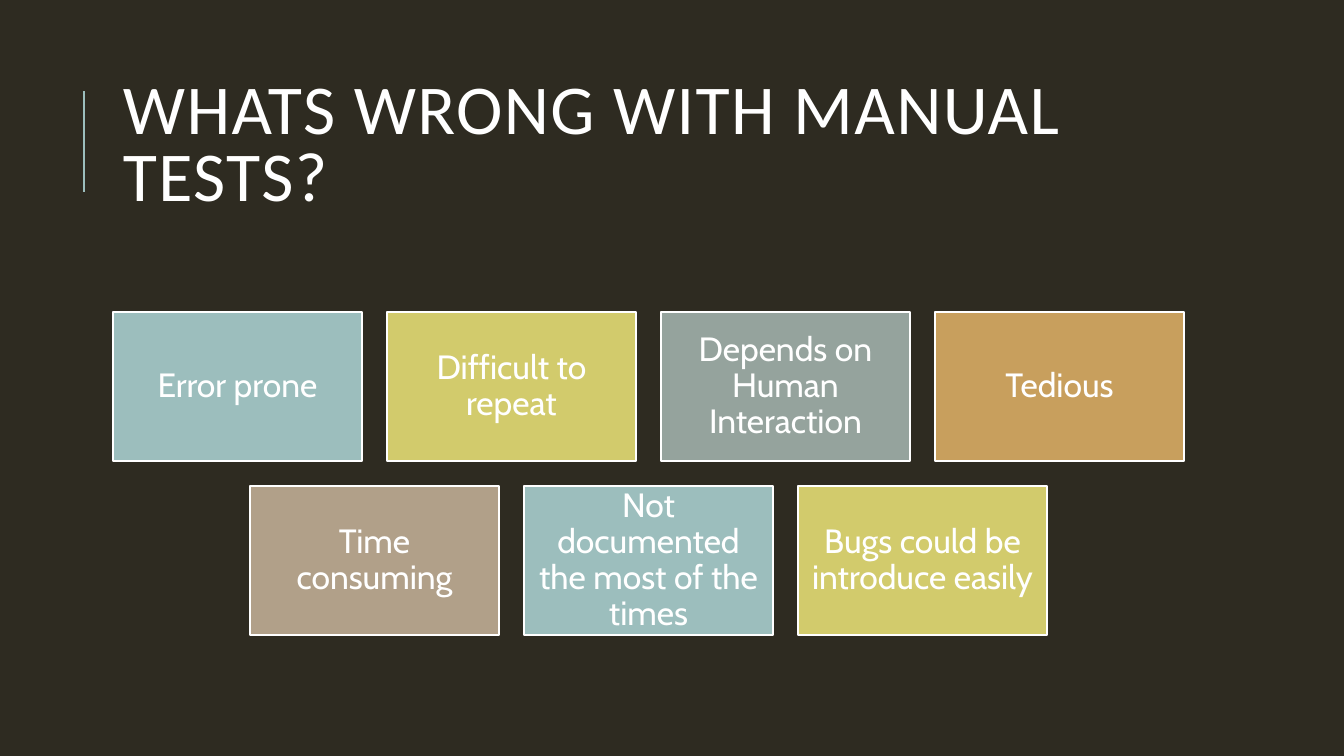
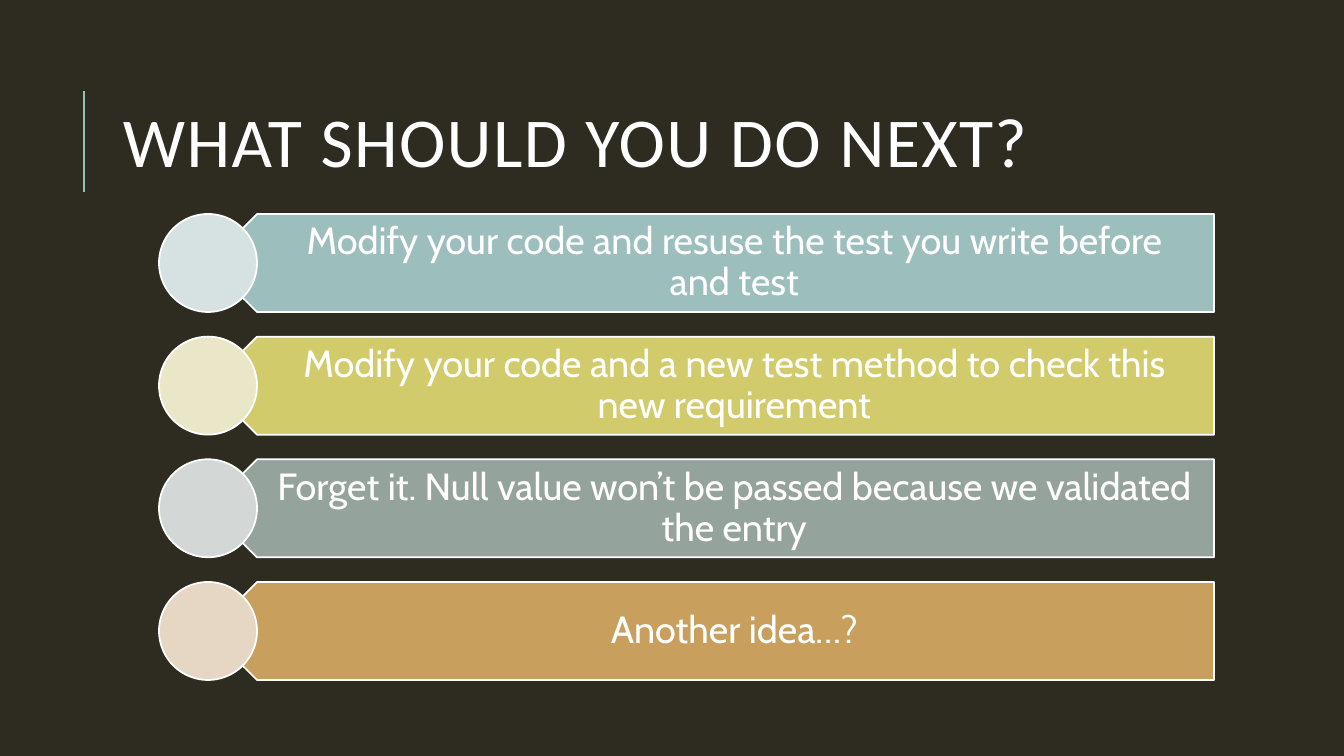
from lxml.etree import SubElement
from pptx import Presentation
from pptx.dml.color import RGBColor
from pptx.enum.shapes import MSO_CONNECTOR as Connector, MSO_SHAPE as Shape
from pptx.enum.text import MSO_ANCHOR as Anchor, PP_ALIGN as Align
from pptx.oxml.ns import qn
from pptx.util import Emu, Pt

PX = 914400 / 100.8
BACKGROUND, WHITE = "2E2B21", "FFFFFF"
TEAL, LIME, SAGE, OCHRE, TAUPE = "9CBEBD", "D2CB6C", "95A39D", "C89F5D", "B1A089"

TITLE_FONT = {"name": "Calibri", "size": Pt(50)}
CARD_FONT = {"name": "Cabin", "size": Pt(24)}
OPTION_FONT = {"name": "Cabin", "size": Pt(27)}

PROBLEM_ROWS = [
    [("Error prone", TEAL), ("Difficult to repeat", LIME),
     ("Depends on Human Interaction", SAGE), ("Tedious", OCHRE)],
    [("Time consuming", TAUPE), ("Not documented the most of the times", TEAL),
     ("Bugs could be introduce easily", LIME)],
]
OPTIONS = [
    ("Modify your code and resuse the test you write before and test", TEAL, "D5E2E1"),
    ("Modify your code and a new test method to check this new requirement", LIME, "EAE7C8"),
    ("Forget it. Null value won’t be passed because we validated the entry", SAGE, "D3D7D5"),
    ("Another idea…?", OCHRE, "E6D6C4"),
]


def px(*lengths):
    return [Emu(round(length * PX)) for length in lengths]


def paint(target, color):
    target.solid()
    target.fore_color.rgb = RGBColor.from_string(color)


def apply(target, values):
    for name, value in values.items():
        setattr(target, name, value)


def write(holder, text, font, align, line_spacing, insets):
    frame = holder.text_frame
    sides = ("margin_left", "margin_top", "margin_right", "margin_bottom")
    apply(frame, {"word_wrap": True, "vertical_anchor": Anchor.MIDDLE,
                  **dict(zip(sides, px(*insets)))})
    paragraph = frame.paragraphs[0]
    apply(paragraph, {"alignment": align, "line_spacing": line_spacing})
    run = paragraph.add_run()
    run.text = text
    apply(run.font, font)
    paint(run.font.fill, WHITE)
    return run


def add_block(slide, preset, box, color):
    block = slide.shapes.add_shape(preset, *px(*box))
    block.shadow.inherit = False
    paint(block.fill, color)
    paint(block.line.fill, WHITE)
    block.line.width = Pt(1.25)
    return block


def add_title(slide, title, box):
    left, top, width, height = box
    rule_left = left - 29
    rule = slide.shapes.add_connector(
        Connector.STRAIGHT, *px(rule_left, top + 127, rule_left, top + 26))
    paint(rule.line.fill, TEAL)
    rule.line.width = Pt(1.5)
    SubElement(rule._element.spPr, qn("a:effectLst"))
    heading = slide.shapes.add_textbox(*px(*box))
    run = write(heading, title, TITLE_FONT, Align.LEFT, 0.8, (10, 5, 10, 5))
    run._r.get_or_add_rPr().set("spc", "100")


def add_cards(slide, rows, box, gap=25):
    left, top, width, height = box
    columns = max(len(row) for row in rows)
    card_width = (width - gap * (columns - 1)) / columns
    card_height = (height - gap * (len(rows) - 1)) / len(rows)
    for row_index, row in enumerate(rows):
        indent = (columns - len(row)) * (card_width + gap) / 2
        for column, (text, color) in enumerate(row):
            card = add_block(slide, Shape.RECTANGLE, (
                left + indent + column * (card_width + gap),
                top + row_index * (card_height + gap),
                card_width, card_height), color)
            write(card, text, CARD_FONT, Align.CENTER, 0.9, (10, 10, 10, 10))


def add_options(slide, options, box, bar_height=98):
    left, top, width, height = box
    pitch = (height - bar_height) / (len(options) - 1)
    radius = bar_height / 2
    text_indent = radius * 1.5
    for index, (text, color, tint) in enumerate(options):
        bar_top = top + index * pitch
        bar = add_block(slide, Shape.PENTAGON,
                        (left + radius, bar_top, width - radius, bar_height), color)
        bar.rotation = 180
        label = slide.shapes.add_textbox(
            *px(left + text_indent, bar_top, width - text_indent, bar_height))
        write(label, text, OPTION_FONT, Align.CENTER, 0.9, (43, 11, 21, 11))
        add_block(slide, Shape.OVAL, (left, bar_top, bar_height, bar_height), tint)


def add_slide(deck, title):
    slide = deck.slides.add_slide(deck.slide_layouts[6])
    add_title(slide, title, (113, 65, 1072, 165))
    return slide


def main():
    deck = Presentation()
    deck.slide_width, deck.slide_height = px(1344, 756)
    paint(deck.slide_master.background.fill, BACKGROUND)
    problems = add_slide(deck, "WHATS WRONG WITH MANUAL TESTS?")
    add_cards(problems, PROBLEM_ROWS, (113, 312, 1071, 323))
    next_steps = add_slide(deck, "WHAT SHOULD YOU DO NEXT?")
    add_options(next_steps, OPTIONS, (159, 214, 1055, 466))
    deck.save("out.pptx")


if __name__ == "__main__":
    main()
